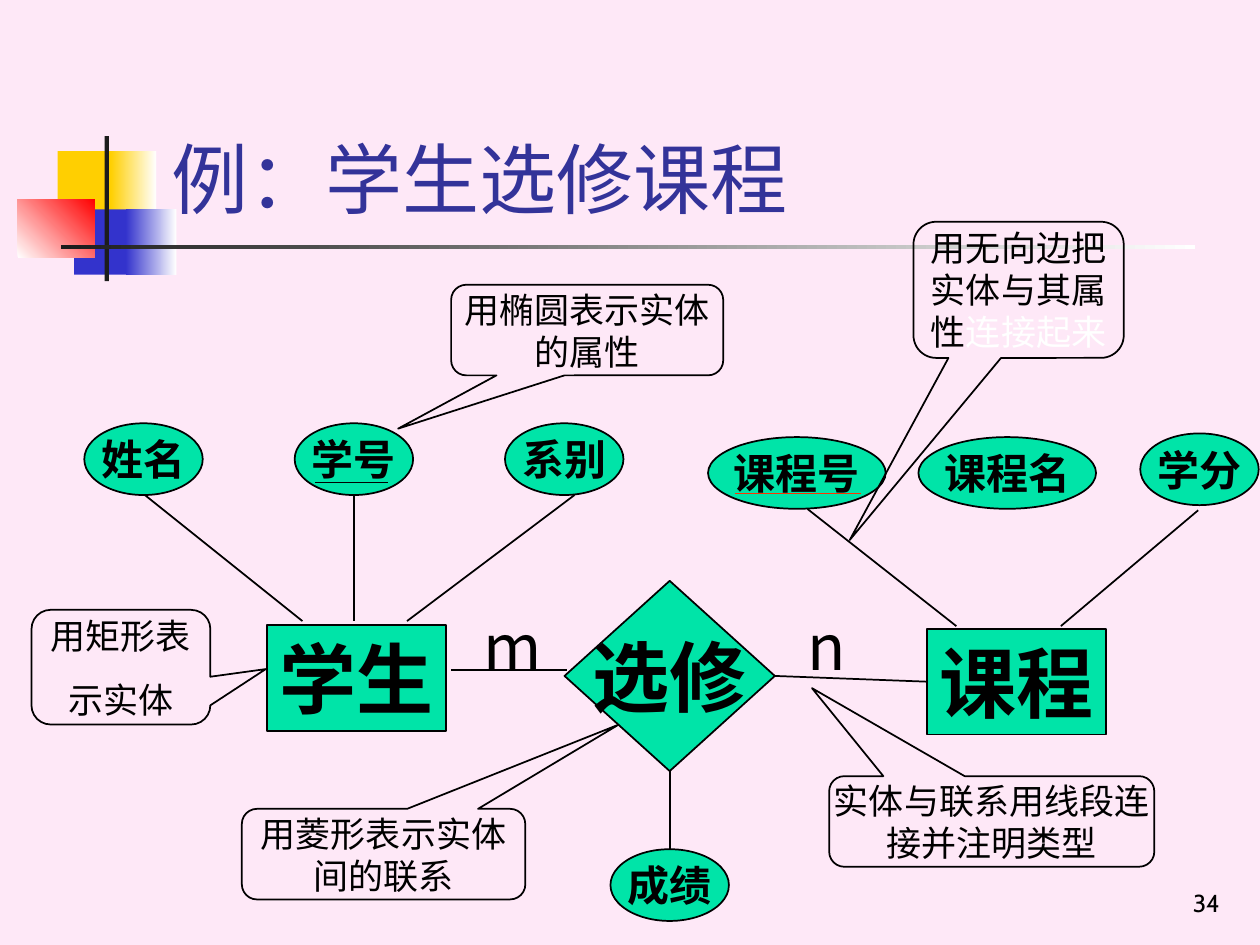
from dataclasses import dataclass

from lxml.etree import SubElement
from pptx import Presentation
from pptx.dml.color import RGBColor
from pptx.enum.shapes import MSO_CONNECTOR, MSO_SHAPE
from pptx.enum.text import MSO_ANCHOR, MSO_AUTO_SIZE, PP_ALIGN
from pptx.oxml.ns import qn
from pptx.util import Pt


@dataclass(frozen=True)
class Theme:
    background: str = "FEE8F7"
    title: str = "333399"
    ink: str = "000000"
    node: str = "00E4A8"
    white: str = "FFFFFF"
    yellow: str = "FFCF01"
    blue: str = "3333CC"
    red: str = "FF0000"
    bar: str = "1C1C1C"
    course_key: str = "FF3300"
    title_font: str = "Cabin"
    node_font: str = "Noto Sans CJK JP"
    note_font: str = "Noto Sans CJK SC"
    large: int = 44
    degree: int = 36
    attribute: int = 24
    note: int = 20
    number: int = 14


THEME = Theme()
ATTRIBUTE_HEIGHT = 41
SHORT_WIDTH, LONG_WIDTH = 67.7, 101.5
ENTITY_WIDTH, ENTITY_HEIGHT = 102.2, 60.5


def rgb(color):
    return RGBColor.from_string(color)


def style(paragraph, font_name, size, color=THEME.ink, bold=False, align=PP_ALIGN.CENTER):
    paragraph.alignment = align
    font = paragraph.font
    font.name, font.size, font.bold = font_name, Pt(size), bold
    font.color.rgb = rgb(color)
    SubElement(font._rPr, qn("a:ea")).set("typeface", font_name)


def set_frame(frame, wrap, margins=(0, 0), anchor=MSO_ANCHOR.MIDDLE):
    frame.word_wrap = wrap
    frame.auto_size = MSO_AUTO_SIZE.NONE
    frame.vertical_anchor = anchor
    frame.margin_left = frame.margin_right = Pt(margins[0])
    frame.margin_top = frame.margin_bottom = Pt(margins[1])


def add_outline(slide, kind, box):
    shape = slide.shapes.add_shape(kind, *map(Pt, box))
    shape.shadow.inherit = False
    shape.line.color.rgb = rgb(THEME.ink)
    shape.line.width = Pt(1)
    return shape


def add_node(slide, kind, box, text, size):
    node = add_outline(slide, kind, box)
    node.fill.solid()
    node.fill.fore_color.rgb = rgb(THEME.node)
    set_frame(node.text_frame, wrap=False)
    node.text_frame.text = text
    style(node.text_frame.paragraphs[0], THEME.node_font, size, bold=True)
    return node


def add_line(slide, x1, y1, x2, y2, color=THEME.ink, width=1):
    line = slide.shapes.add_connector(MSO_CONNECTOR.STRAIGHT, Pt(x1), Pt(y1), Pt(x2), Pt(y2))
    line.line.color.rgb = rgb(color)
    line.line.width = Pt(width)
    SubElement(line._element.spPr, qn("a:effectLst"))
    return line


def add_text(slide, box, text, font_name, size, align=PP_ALIGN.CENTER,
             anchor=MSO_ANCHOR.MIDDLE, wrap=False):
    frame = slide.shapes.add_textbox(*map(Pt, box)).text_frame
    set_frame(frame, wrap, (7.2, 3.6), anchor)
    frame.text = text
    style(frame.paragraphs[0], font_name, size, align=align)


def draw_ornament(slide, box):
    """Coloured blocks and the crossing bars beside the title."""
    left, top = box[:2]
    blocks = [  # offset box, start colour, end colour, angle
        ((23, 8.6, 34.6, 37.4), THEME.yellow, None, 0),
        ((53.3, 8.6, 26, 37.4), THEME.yellow, THEME.white, 0),
        ((32.4, 41.8, 33.1, 37.4), THEME.blue, None, 0),
        ((62, 41.8, 28.8, 37.4), THEME.blue, THEME.white, 0),
        ((0, 36, 44.3, 33.5), THEME.white, THEME.red, 45),
        ((49.8, 0, 2.5, 82.8), THEME.bar, None, 0),
        ((24.8, 62.2, 648, 2.5), THEME.bar, THEME.white, 0),
    ]
    for (x, y, width, height), start, end, angle in blocks:
        block = add_outline(slide, MSO_SHAPE.RECTANGLE, (left + x, top + y, width, height))
        block.line.fill.background()
        if end is None:
            block.fill.solid()
            block.fill.fore_color.rgb = rgb(start)
        else:
            block.fill.gradient()
            block.fill.gradient_angle = angle
            for stop, color in zip(block.fill.gradient_stops, (start, end)):
                stop.color.rgb = rgb(color)


def draw_title(slide, box, text):
    title = slide.shapes.title
    title.left, title.top, title.width, title.height = map(Pt, box)
    set_frame(title.text_frame, True, (7.2, 3.6), MSO_ANCHOR.BOTTOM)
    title.text_frame.text = text
    style(title.text_frame.paragraphs[0], THEME.title_font, THEME.large,
          THEME.title, align=PP_ALIGN.LEFT)


def draw_entity(slide, box, name, name_at, attributes, edges, key_line, key_color):
    """An entity below its attributes; all offsets are from the box corner."""
    left, top = box[:2]
    for text, x, y, width in attributes:
        add_node(slide, MSO_SHAPE.OVAL, (left + x, top + y, width, ATTRIBUTE_HEIGHT),
                 text, THEME.attribute)
    for x1, y1, x2, y2 in edges:
        add_line(slide, left + x1, top + y1, left + x2, top + y2)
    x1, x2, y = key_line
    add_line(slide, left + x1, top + y, left + x2, top + y, key_color, 0.75)
    name_box = (left + name_at[0], top + name_at[1], ENTITY_WIDTH, ENTITY_HEIGHT)
    return add_node(slide, MSO_SHAPE.RECTANGLE, name_box, name, THEME.large)


def draw_relationship(slide, box, course):
    """The diamond, its grade attribute, and its links to both entities."""
    left, top, width, height = box
    diamond = add_node(slide, MSO_SHAPE.DIAMOND, box, "选修", THEME.large)
    grade_left = left + (width - SHORT_WIDTH) / 2
    grade = add_node(slide, MSO_SHAPE.OVAL,
                     (grade_left, top + 153.4, SHORT_WIDTH, ATTRIBUTE_HEIGHT),
                     "成绩", THEME.attribute)
    add_line(slide, left - 64.8, top + 51.1, left + 1.4, top + 51.1)
    for start, start_site, end, end_site in [(diamond, 3, course, 1), (diamond, 2, grade, 0)]:
        link = add_line(slide, 0, 0, 0, 0)
        link.begin_connect(start, start_site)
        link.end_connect(end, end_site)
    for degree, x in [("m", -41.8), ("n", 138.2)]:
        add_text(slide, (left + x, top + 25.2, 23.8, 23.8), degree,
                 THEME.node_font, THEME.degree)


def draw_callout(slide, box, tip, paragraphs, space_before=0):
    """Each paragraph is a list of (text, colour) runs."""
    callout = add_outline(slide, MSO_SHAPE.ROUNDED_RECTANGULAR_CALLOUT, box)
    callout.fill.background()
    for index, value in enumerate((*tip, 0.167)):
        callout.adjustments[index] = value
    frame = callout.text_frame
    set_frame(frame, wrap=True)
    for index, runs in enumerate(paragraphs):
        paragraph = frame.add_paragraph() if index else frame.paragraphs[0]
        paragraph.space_before = Pt(space_before)
        style(paragraph, THEME.note_font, THEME.note)
        for text, color in runs:
            run = paragraph.add_run()
            run.text = text
            run.font.color.rgb = rgb(color)


def main():
    presentation = Presentation()
    presentation.slide_width, presentation.slide_height = Pt(720), Pt(540)
    slide = presentation.slides.add_slide(presentation.slide_layouts[5])
    slide.background.fill.solid()
    slide.background.fill.fore_color.rgb = rgb(THEME.background)

    draw_ornament(slide, (10, 77.8, 673, 83))
    draw_title(slide, (90.7, 16.6, 613.4, 115.2), "例：学生选修课程")

    # Entities with their attributes
    student_attributes = [(text, 120.2 * index, 0, SHORT_WIDTH)
                          for index, text in enumerate(["姓名", "学号", "系别"])]
    draw_entity(slide, (48.2, 241.9, 308, 176), "学生", (104.4, 115.2), student_attributes,
                [(34.6, 41, 124.6, 113), (154.1, 41, 154.1, 113), (280.1, 41, 184.4, 113)],
                (131.8, 173.6, 33.9), THEME.ink)
    course = draw_entity(slide, (404.6, 247.7, 315, 172), "课程", (125.3, 111.6),
                         [("课程号", 0, 2.1, LONG_WIDTH), ("课程名", 120.2, 2.1, LONG_WIDTH),
                          ("学分", 247, 0, SHORT_WIDTH)],
                         [(56.9, 43.2, 141.9, 110.1), (280.1, 43.9, 201.6, 110.1)],
                         (15.2, 87.2, 34.5), THEME.course_key)
    draw_relationship(slide, (322.6, 331.9, 120.2, 108.7), course)

    # Explanations
    ink = THEME.ink
    draw_callout(slide, (18, 348.5, 102.2, 65.5), (0.81, 0.017),
                 [[("用矩形表", ink)], [("示实体", ink)]], space_before=12.5)
    draw_callout(slide, (257.8, 162.7, 155.5, 51.8), (-0.695, 1.088),
                 [[("用椭圆表示实体的属性", ink)]])
    draw_callout(slide, (522, 126.7, 120.2, 77.8), (-0.803, 1.837),
                 [[("用无向边把实体与其属性", ink), ("连接起来", THEME.white)]])
    draw_callout(slide, (138.2, 462.2, 162, 51.8), (0.829, -1.429),
                 [[("用菱形表示实体间的联系", ink)]])
    draw_callout(slide, (473.8, 443.5, 185.8, 51.8), (-0.553, -1.471),
                 [[("实体与联系用线段连接并注明类型", ink)]])

    # Slide number
    add_text(slide, (554.4, 491.8, 149.8, 36), "34", THEME.title_font, THEME.number,
             PP_ALIGN.RIGHT, MSO_ANCHOR.BOTTOM, wrap=True)
    presentation.save("out.pptx")


if __name__ == "__main__":
    main()
